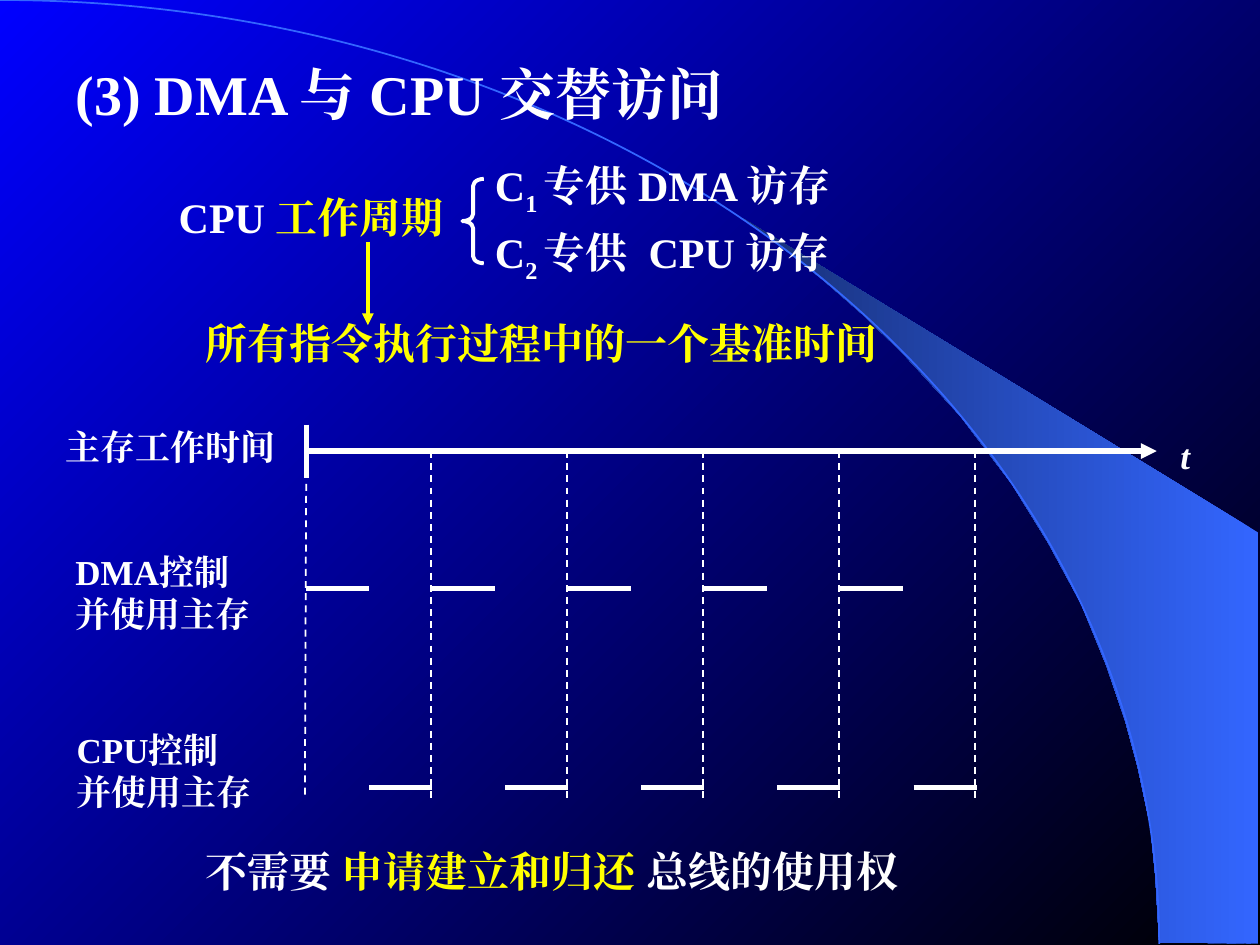
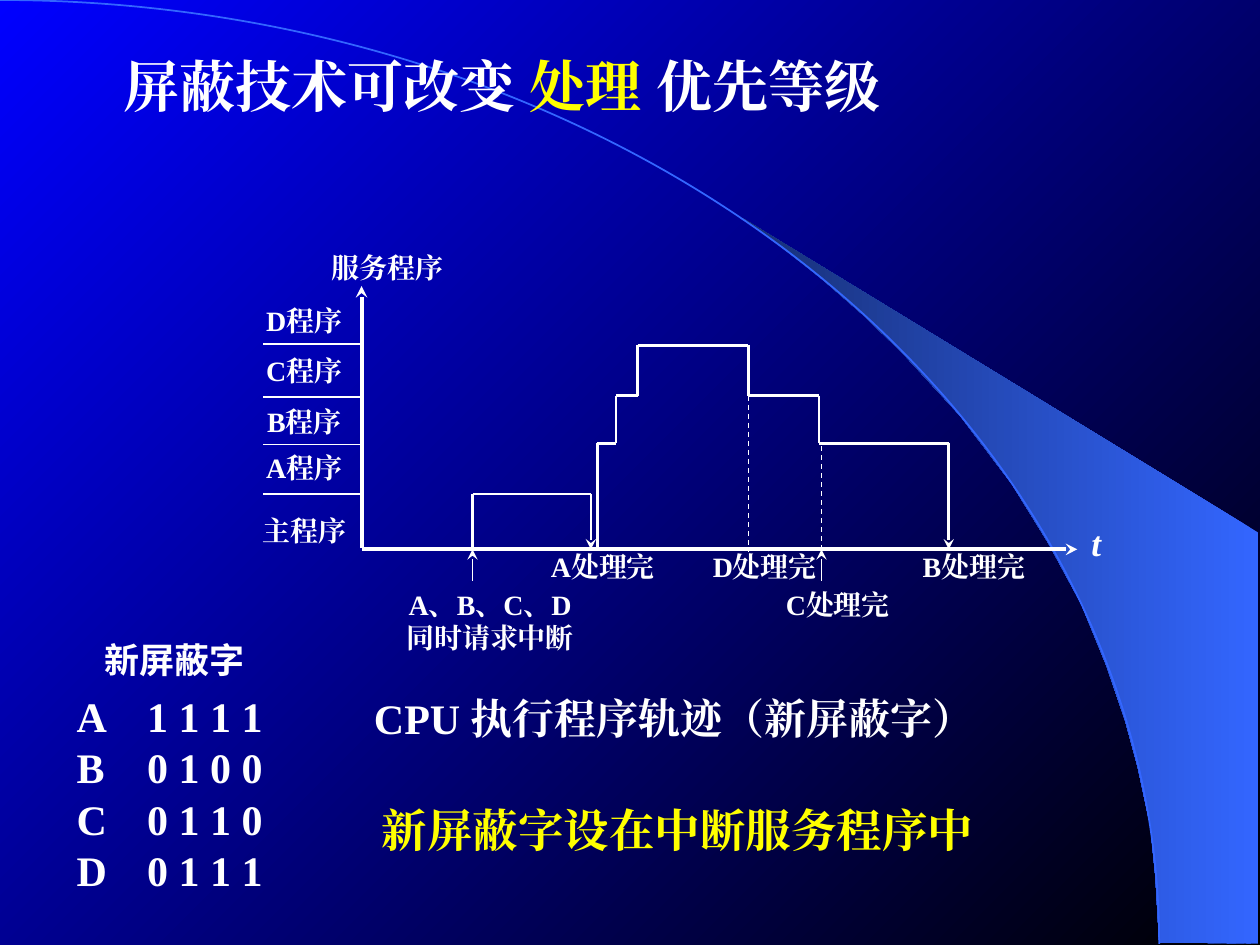
"""Build two slides on DMA memory access and interrupt mask priorities."""
import lxml.etree
import pptx
import pptx.dml.color
import pptx.enum.dml
import pptx.enum.shapes
import pptx.enum.text
import pptx.oxml.ns
import pptx.util

Inches = pptx.util.Inches
Pt = pptx.util.Pt
qn = pptx.oxml.ns.qn
RGBColor = pptx.dml.color.RGBColor
MSO_SHAPE = pptx.enum.shapes.MSO_SHAPE
ANCHOR = pptx.enum.text.MSO_ANCHOR
LEFT = pptx.enum.text.PP_ALIGN.LEFT
CENTER = pptx.enum.text.PP_ALIGN.CENTER

WHITE = RGBColor(0xFF, 0xFF, 0xFF)
YELLOW = RGBColor(0xFF, 0xFF, 0x00)
BLACK = RGBColor(0x00, 0x00, 0x00)
BLUE = RGBColor(0x00, 0x00, 0xFF)
SKY = RGBColor(0x33, 0x66, 0xFF)
NAVY = RGBColor(0x17, 0x2F, 0x75)
FONT = "Times New Roman"
CJK_FONT = "Noto Sans CJK SC"


def write(s, at, paras, size, sp=None, align=LEFT, inset=True, wrap=True,
          anchor=ANCHOR.TOP, italic=False, font=FONT):
    """Fill a box with paragraphs, each a list of (text, colour) runs."""
    sp = sp or s.shapes.add_textbox(0, 0, 0, 0)
    for name, value in zip(("left", "top", "width", "height"), at):
        setattr(sp, name, Inches(value))
    tf = sp.text_frame
    side, edge = (Inches(0.1), Inches(0.05)) if inset else (0, 0)
    frame = {"word_wrap": wrap, "vertical_anchor": anchor,
             "auto_size": pptx.enum.text.MSO_AUTO_SIZE.NONE,
             "margin_left": side, "margin_right": side,
             "margin_top": edge, "margin_bottom": edge}
    for name, value in frame.items():
        setattr(tf, name, value)
    for i, runs in enumerate(paras):
        p = tf.add_paragraph() if i else tf.paragraphs[0]
        p.alignment = align
        for text, color in runs:
            r = p.add_run()
            r.text = text
            r.font.color.rgb = color
            style = {"name": font, "size": Pt(size), "bold": True, "italic": italic}
            for name, value in style.items():
                setattr(r.font, name, value)
            ea = lxml.etree.SubElement(r._r.get_or_add_rPr(), qn("a:ea"))
            ea.set("typeface", font)
    return tf


def line(s, x1, y1, x2, y2, width, color=WHITE, dash=False, head=None):
    """Draw a straight line, with an arrowhead at its end if one is named."""
    sp = s.shapes.add_connector(pptx.enum.shapes.MSO_CONNECTOR.STRAIGHT,
                                Inches(x1), Inches(y1), Inches(x2), Inches(y2))
    sp.line.color.rgb = color
    sp.line.width = Pt(width)
    if dash:
        sp.line.dash_style = pptx.enum.dml.MSO_LINE.DASH
    spPr = sp.element.spPr
    if head:
        lxml.etree.SubElement(spPr.find(qn("a:ln")), qn("a:tailEnd")).set("type", head)
    lxml.etree.SubElement(spPr, qn("a:effectLst"))


prs = pptx.Presentation()
prs.slide_width, prs.slide_height = Inches(10), Inches(7.5)
layout = prs.slide_layouts[5]

fill = prs.slide_master.background.fill
fill.gradient()
fill.gradient_angle = 135
for stop, color in zip(fill.gradient_stops, (BLACK, BLUE)):
    stop.color.rgb = color

BEAM = [(9.2, 7.48), (9.99, 7.49), (9.99, 4.23), (5.89, 1.73), (6.24, 1.99),
        (6.53, 2.22), (6.85, 2.5), (7.16, 2.8), (7.62, 3.3), (8.03, 3.84),
        (8.32, 4.31), (8.58, 4.79), (8.78, 5.28), (8.93, 5.72), (9.03, 6.09),
        (9.13, 6.56), (9.17, 6.96)]
beam_points = [(Inches(x), Inches(y)) for x, y in BEAM]

titles = [
    ((0.5, 0.42, 6.92, 0.64), [("(3) DMA 与 CPU 交替访问", WHITE)],
     {"anchor": ANCHOR.TOP}),
    ((0.98, 0.44, 7.65, 0.47),
     [("屏蔽技术可改变 ", WHITE), ("处理 ", YELLOW), ("优先等级", WHITE)],
     {"anchor": ANCHOR.MIDDLE, "inset": False}),
]
for at, runs, options in titles:
    s = prs.slides.add_slide(layout)
    builder = s.shapes.build_freeform(*beam_points[0])
    builder.add_line_segments(beam_points[1:])
    sp = builder.convert_to_shape()
    sp.shadow.inherit = False
    sp.line.fill.background()
    sp.fill.gradient()
    sp.fill.gradient_angle = 180
    for stop, color in zip(sp.fill.gradient_stops, (SKY, NAVY)):
        stop.color.rgb = color
    sp = s.shapes.add_shape(MSO_SHAPE.ARC, Inches(-9.2), 0, Inches(18.4), Inches(14.98))
    sp.shadow.inherit = False
    sp.fill.background()
    sp.line.color.rgb = SKY
    sp.line.width = Pt(1)
    title = s.shapes.title
    s.shapes.element.append(title.element)
    write(s, at, [runs], 32, sp=title, **options)

s = prs.slides[0]
write(s, (1.32, 1.47, 2.52, 0.5), [[("CPU ", WHITE), ("工作周期", YELLOW)]], 24)
for y, number, use in ((1.22, "1 ", "专供 DMA 访存"), (1.75, "2 ", "专供  CPU 访存")):
    tf = write(s, (3.83, y, 4.42, 0.56),
               [[("C", WHITE), (number, WHITE), (use, WHITE)]], 24)
    tf.paragraphs[0].runs[1]._r.get_or_add_rPr().set("baseline", "-25000")
sp = s.shapes.add_shape(MSO_SHAPE.LEFT_BRACE, Inches(3.67), Inches(1.42),
                        Inches(0.17), Inches(0.67))
sp.shadow.inherit = False
sp.adjustments[0] = 0.33
sp.fill.background()
sp.line.color.rgb = WHITE
sp.line.width = Pt(2.25)
write(s, (1.53, 2.47, 7.6, 0.5), [[("所有指令执行过程中的一个基准时间", YELLOW)]], 24)
line(s, 2.92, 1.92, 2.92, 2.58, 2.25, color=YELLOW, head="triangle")

for at, texts in (((0.42, 3.33, 1.87, 0.44), ["主存工作时间"]),
                  ((0.5, 4.32, 1.59, 0.77), ["DMA控制", "并使用主存"]),
                  ((0.51, 5.73, 1.59, 0.77), ["CPU控制", "并使用主存"])):
    write(s, at, [[(text, WHITE)] for text in texts], 20, wrap=False)
write(s, (9.27, 3.4, 0.27, 0.44), [[("t", WHITE)]], 20, wrap=False, italic=True)

axis_x, axis_y, slot = 2.43, 3.58, 0.5
line(s, axis_x, 3.37, axis_x, 3.79, 3)
line(s, axis_x, axis_y, 9.18, axis_y, 3, head="triangle")
line(s, axis_x, 3.84, 2.42, 6.32, 1, dash=True)
cycle_ends = [3.42 + 1.08 * i for i in range(5)]
cycle_starts = [axis_x] + [x + 0.01 for x in cycle_ends[:-1]]
for start, end in zip(cycle_starts, cycle_ends):
    line(s, start, 4.67, start + slot, 4.67, 3)
    line(s, end + 0.01 - slot, 6.25, end + 0.01, 6.25, 3)
    line(s, end, axis_y, end, 6.34, 1, dash=True)

write(s, (1.53, 6.66, 8.03, 0.5),
      [[("不需要 ", WHITE), ("申请建立和归还 ", YELLOW), ("总线的使用权", WHITE)]], 24)

s = prs.slides[1]
base_y = 4.36
labels = [
    ((2.49, 1.99, 1.17, 0.39), ["服务程序"]),
    ((4.26, base_y, 1.05, 0.38), ["A处理完"]),
    ((5.57, base_y, 1, 0.38), ["D处理完"]),
    ((6.17, 4.66, 0.96, 0.33), ["C处理完"]),
    ((7.16, base_y, 1.14, 0.46), ["B处理完"]),
    ((3.1, 4.66, 1.58, 0.56), ["A、B、C、D", "同时请求中断"]),
]
for y, name in ((2.41, "D程序"), (2.81, "C程序"), (3.21, "B程序"),
                (3.58, "A程序"), (4.08, "主程序")):
    labels.append(((2.01, y, 0.81, 0.36), [name]))
for at, texts in labels:
    write(s, at, [[(text, WHITE)] for text in texts], 16, align=CENTER, inset=False)
write(s, (8.47, 4.14, 0.46, 0.36), [[("t", WHITE)]], 20, align=CENTER,
      inset=False, italic=True)

line(s, 2.87, base_y, 8.55, base_y, 2.25, head="stealth")
line(s, 2.87, 4.35, 2.87, 2.27, 2.25, head="stealth")
for y in (2.73, 3.15, 3.53, 3.92):
    line(s, 2.09, y, 2.86, y, 0.75)

first_run = [(3.75, base_y), (3.75, 3.92), (4.69, 3.92), (4.69, base_y)]
nested_run = [(4.74, base_y), (4.74, 3.52), (4.89, 3.52), (4.89, 3.14),
              (5.06, 3.14), (5.06, 2.74), (5.94, 2.74), (5.94, 3.14),
              (6.5, 3.14), (6.5, 3.52), (7.53, 3.52), (7.53, base_y)]
for track in (first_run, nested_run):
    for start, end in zip(track, track[1:]):
        line(s, *start, *end, 1.5, head="stealth" if end == track[-1] else None)
for x, y in ((5.94, 3.14), (6.52, 3.54)):
    line(s, x, y, x, 4.38, 0.75, dash=True)
for x in (3.75, 6.52):
    line(s, x, 4.61, x, base_y, 0.75, head="stealth")

write(s, (2.87, 5.45, 5.67, 0.5), [[("CPU 执行程序轨迹（新屏蔽字）", WHITE)]], 24)
write(s, (3.03, 6.35, 6.5, 0.47), [[("新屏蔽字设在中断服务程序中", YELLOW)]], 26,
      inset=False, anchor=ANCHOR.MIDDLE)

tf = write(s, (0.51, 5.02, 2.05, 2.14), [[("新屏蔽字", WHITE)]], 20, font=CJK_FONT)
p = tf.paragraphs[0]
p.space_after = Pt(3)
p._p.get_or_add_pPr().set("marL", str(Inches(0.22)))
for mask in ("A\t1 1 1 1", "B\t0 1 0 0", "C\t0 1 1 0", "D\t0 1 1 1"):
    p = tf.add_paragraph()
    p.line_spacing = 0.5
    p.space_before = Pt(15)
    tabs = lxml.etree.SubElement(p._p.get_or_add_pPr(), qn("a:tabLst"))
    tab = lxml.etree.SubElement(tabs, qn("a:tab"))
    tab.set("pos", str(Inches(0.56)))
    tab.set("algn", "l")
    r = p.add_run()
    r.text = mask
    r.font.color.rgb = WHITE
    for name, value in {"name": FONT, "size": Pt(24), "bold": True}.items():
        setattr(r.font, name, value)

prs.save("out.pptx")
